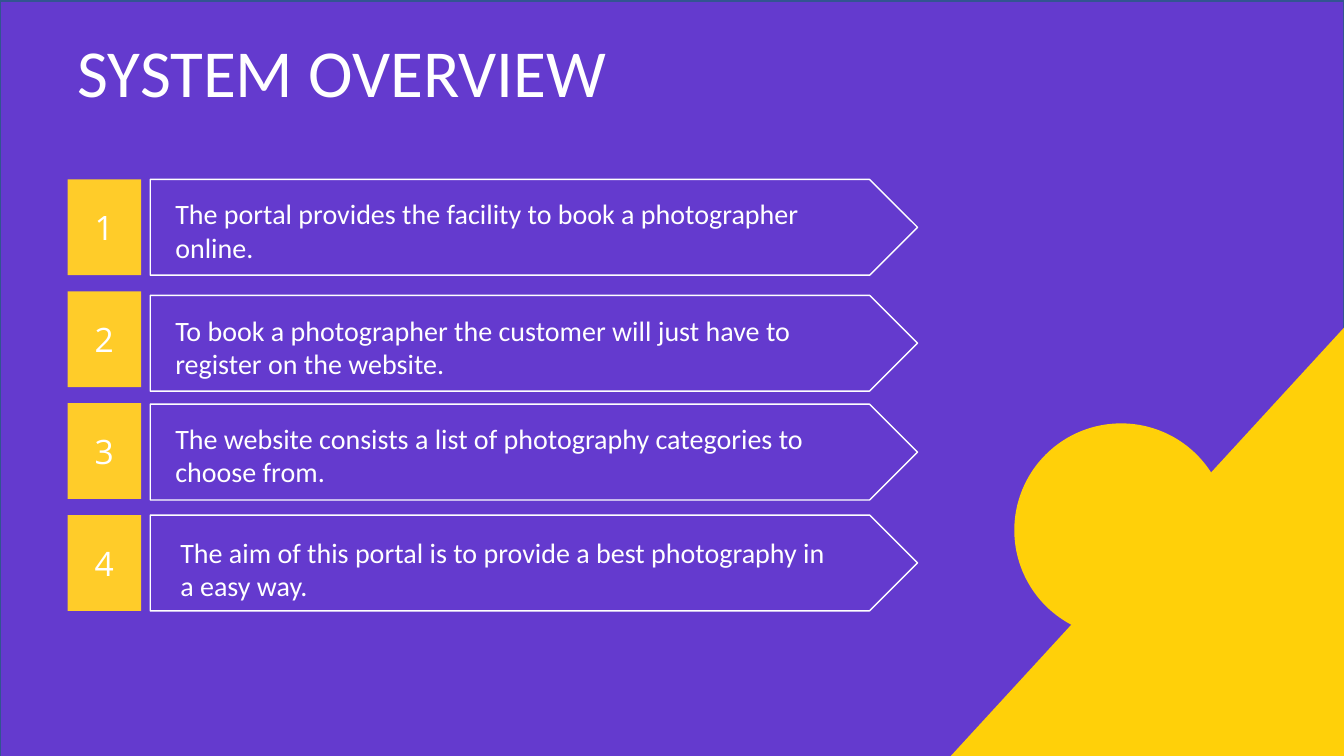
from pptx import Presentation
from pptx.dml.color import RGBColor
from pptx.enum.shapes import MSO_SHAPE
from pptx.enum.text import MSO_ANCHOR, MSO_AUTO_SIZE, PP_ALIGN
from pptx.util import Inches, Pt

PURPLE = RGBColor(0x64, 0x3A, 0xCE)
BLUE = RGBColor(0x32, 0x54, 0x91)
GOLD = RGBColor(0xFF, 0xD0, 0x09)
AMBER = RGBColor(0xFF, 0xCC, 0x29)
WHITE = RGBColor(0xFF, 0xFF, 0xFF)

# Each row: plate top, text left, text top, text width, wording
ROWS = [
    (1.78, 1.64, 1.9, 6.92,
     "The portal provides the facility to book a photographer online."),
    (2.93, 1.64, 3.06, 6.67,
     "To book a photographer the customer will just have to register on the website."),
    (4.01, 1.64, 4.13, 6.67,
     "The website consists a list of photography categories to choose from."),
    (5.11, 1.69, 5.26, 6.67,
     "The aim of this portal is to provide a best photography in a easy way."),
]
LEFT, TOP, PITCH, HIGH = 0.67, 1.78, 1.11, 0.95


def write(frame, text, size=20, font="Calibri", color=WHITE,
          align=PP_ALIGN.LEFT, anchor=MSO_ANCHOR.TOP):
    frame.word_wrap = True
    frame.auto_size = MSO_AUTO_SIZE.NONE
    frame.vertical_anchor = anchor
    para = frame.paragraphs[0]
    para.alignment = align
    run = para.add_run()
    run.text = text
    run.font.size = Pt(size)
    run.font.name = font
    run.font.color.rgb = color


class Deck:
    def __init__(self):
        self.show = Presentation()
        self.show.slide_width = Inches(13.33)
        self.show.slide_height = Inches(7.5)
        self.slide = self.show.slides.add_slide(self.show.slide_layouts[5])

    def shape(self, kind, x, y, w, h, fill=None, line=None, turn=0):
        item = self.slide.shapes.add_shape(
            kind, Inches(x), Inches(y), Inches(w), Inches(h))
        item.shadow.inherit = False
        item.rotation = turn
        if fill is None:
            item.fill.background()
        else:
            item.fill.solid()
            item.fill.fore_color.rgb = fill
        if line is None:
            item.line.fill.background()
        else:
            item.line.color.rgb = line
            item.line.width = Pt(1)
        return item

    def title(self, text, x, y, w, h):
        item = self.slide.shapes.title
        item.left, item.top = Inches(x), Inches(y)
        item.width, item.height = Inches(w), Inches(h)
        write(item.text_frame, text, size=48)
        # Bring the title in front of the backdrop
        self.slide.shapes._spTree.append(item._element)

    def badge(self, text, x, y, w, h):
        item = self.shape(MSO_SHAPE.RECTANGLE, x, y, w, h, fill=AMBER)
        write(item.text_frame, text, size=24, font="Open Sans",
              align=PP_ALIGN.CENTER, anchor=MSO_ANCHOR.MIDDLE)

    def label(self, text, x, y, w, h):
        item = self.slide.shapes.add_textbox(
            Inches(x), Inches(y), Inches(w), Inches(h))
        write(item.text_frame, text)


def main():
    deck = Deck()

    # Backdrop
    deck.shape(MSO_SHAPE.RECTANGLE, 0, 0.01, 13.33, 7.5, fill=PURPLE, line=BLUE)
    deck.shape(MSO_SHAPE.RIGHT_TRIANGLE, 9.25, 3.42, 4.26, 3.91,
               fill=GOLD, turn=270)
    deck.shape(MSO_SHAPE.OVAL, 10.06, 4.2, 2.12, 2.12, fill=GOLD)

    # Title
    deck.title("SYSTEM OVERVIEW", LEFT, 0.25, 6.68, 0.91)

    # Numbered rows
    for i, (top, x, y, wide, text) in enumerate(ROWS):
        deck.badge(str(i + 1), LEFT, TOP + i * PITCH, 0.73, HIGH)
        deck.shape(MSO_SHAPE.PENTAGON, 1.49, top, 7.61, HIGH, line=WHITE)
        deck.label(text, x, y, wide, 0.77)

    deck.show.save("out.pptx")


if __name__ == "__main__":
    main()
